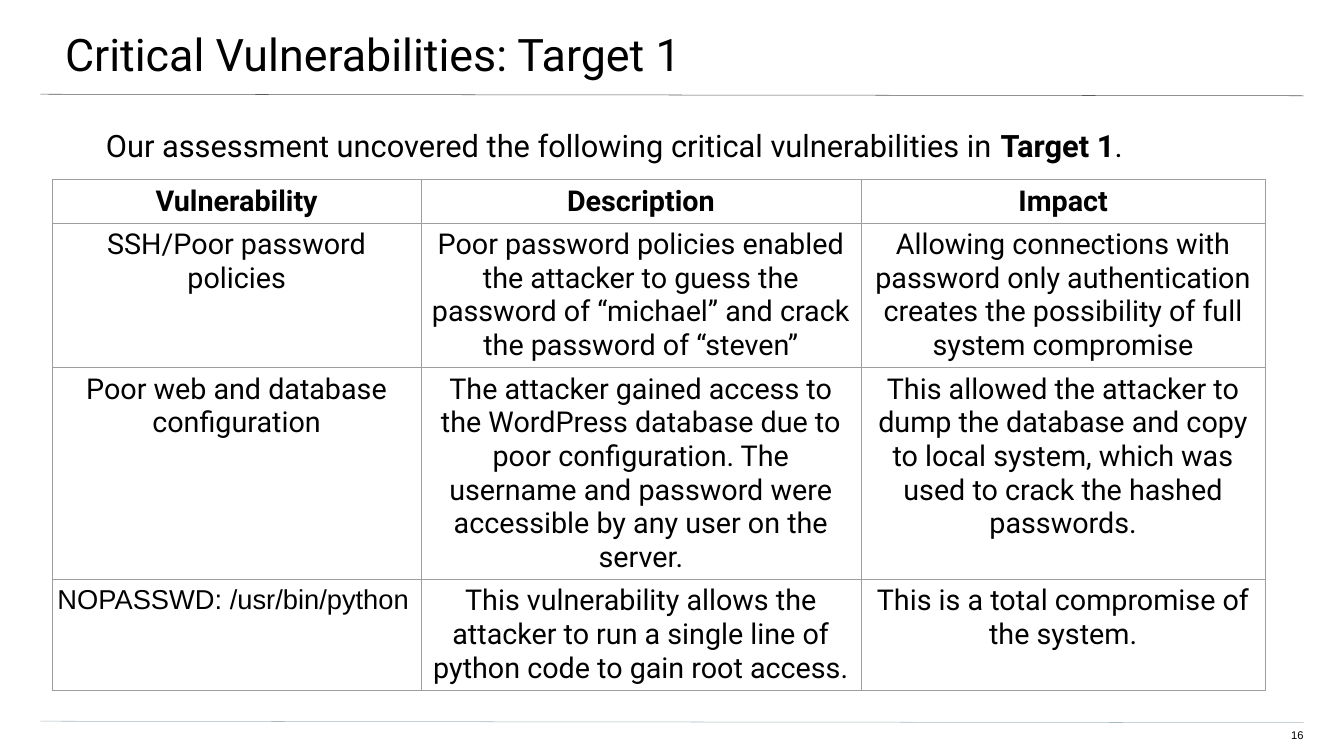
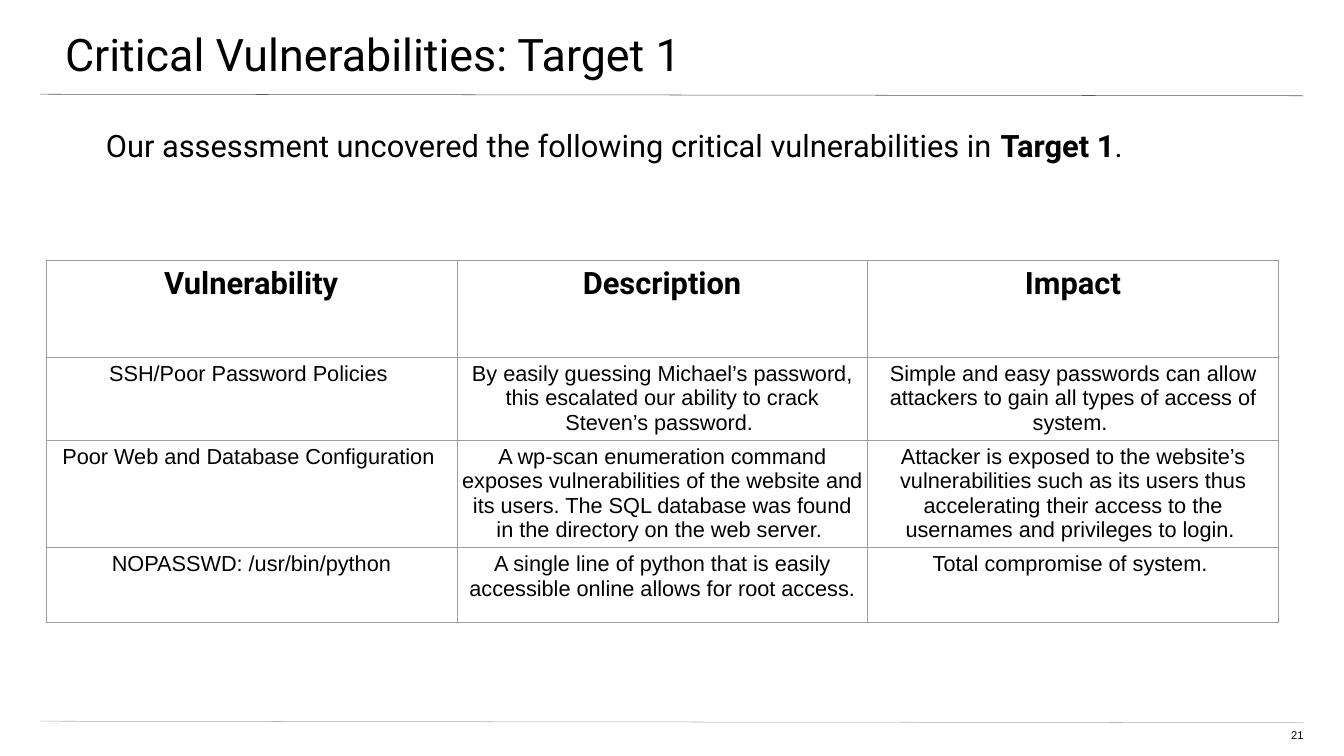
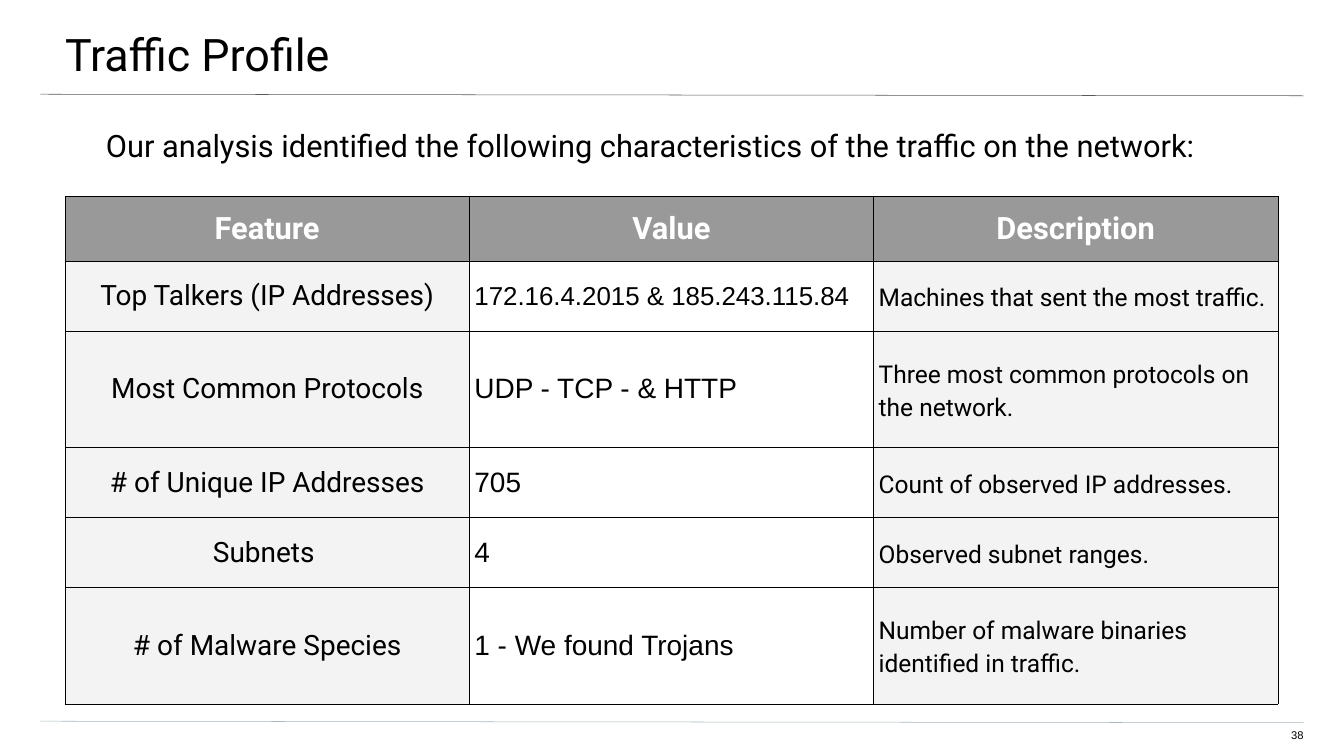
"""Build three security assessment slides with ruled titles and tables."""
from dataclasses import dataclass, replace

from lxml.etree import SubElement
from pptx import Presentation
from pptx.dml.color import RGBColor
from pptx.enum.shapes import MSO_CONNECTOR
from pptx.enum.text import MSO_ANCHOR, MSO_AUTO_SIZE, PP_ALIGN
from pptx.oxml.ns import qn
from pptx.util import Pt

EMU_PER_PX = 9144


@dataclass(frozen=True)
class TextStyle:
    """Look of a piece of text and of the cell behind it."""

    size: int
    face: str = "Roboto"
    color: str = "000000"
    bold: bool = False
    align: PP_ALIGN = PP_ALIGN.LEFT
    line_spacing: float = 1.0
    space_after: int = 0
    fill: str = ""


@dataclass(frozen=True)
class Theme:
    """Colours and type sizes of the deck."""

    title_rule: str = "595959"
    footer_rule: str = "A9B7C0"
    soft_grid: str = "9E9E9E"
    dark_grid: str = "000000"
    rule_width: float = 0.75
    title: TextStyle = TextStyle(64)
    intro: TextStyle = TextStyle(44)
    page_number: TextStyle = TextStyle(16, "Arial", align=PP_ALIGN.RIGHT)
    finding_head: TextStyle = TextStyle(41, bold=True, align=PP_ALIGN.CENTER)
    finding: TextStyle = TextStyle(41, align=PP_ALIGN.CENTER)
    command: TextStyle = TextStyle(39, "Arial")
    summary_head: TextStyle = TextStyle(44, bold=True, align=PP_ALIGN.CENTER)
    summary: TextStyle = TextStyle(31, "Arial", align=PP_ALIGN.CENTER)
    traffic_head: TextStyle = TextStyle(
        44, color="FFFFFF", bold=True, align=PP_ALIGN.CENTER, fill="999999")
    feature: TextStyle = TextStyle(40, align=PP_ALIGN.CENTER, fill="F3F3F3")
    value: TextStyle = TextStyle(40, "Arial")
    remark: TextStyle = TextStyle(
        35, line_spacing=1.15, space_after=10, fill="F3F3F3")


def px(length):
    """Turn px into EMU."""
    return length * EMU_PER_PX


def assign(target, values):
    """Set each named attribute of the target."""
    for attribute, value in values.items():
        setattr(target, attribute, value)


def place(*box):
    """Name the four px lengths of a box in EMU."""
    return dict(zip(("left", "top", "width", "height"), map(px, box)))


def margins(*insets):
    """Name the left, top, right and bottom insets in EMU."""
    sides = ("margin_left", "margin_top", "margin_right", "margin_bottom")
    return dict(zip(sides, map(px, insets)))


class Deck:
    """Hold the theme and the current slide and draw its elements."""

    def __init__(self, theme):
        """Start an empty deck at the full page size."""
        self.theme = theme
        self.presentation = Presentation()
        assign(self.presentation,
               {"slide_width": px(2666), "slide_height": px(1500)})
        self.slide = None

    def page(self, title, number, intro):
        """Add a slide with its rules, title, page number and intro."""
        layout = self.presentation.slide_layouts[5]
        self.slide = self.presentation.slides.add_slide(layout)
        self.rule(187, self.theme.title_rule)
        self.rule(1431, self.theme.footer_rule)
        heading = self.slide.shapes.title
        assign(heading, place(-4, 0, 2673, 156))
        self.fill_frame(heading.text_frame, [(title, False)],
                        self.theme.title, margins(133, 53, 80, 27))
        self.text((2510, 1446, 76, 31), [(number, False)],
                  self.theme.page_number, (0, 0, 0, 27))
        self.text((77, 251, 2509, 1079), intro, self.theme.intro,
                  (133, 0, 133, 267))

    def rule(self, top, color):
        """Draw a thin, barely sloping line across the slide."""
        rule = self.slide.shapes.add_connector(
            MSO_CONNECTOR.STRAIGHT, px(80), px(top), px(2586), px(top + 3))
        rule.line.width = Pt(self.theme.rule_width)
        rule.line.color.rgb = RGBColor.from_string(color)
        SubElement(rule.element.spPr, qn("a:effectLst"))

    def text(self, box, runs, style, insets):
        """Add a text box."""
        holder = self.slide.shapes.add_textbox(*map(px, box))
        self.fill_frame(holder.text_frame, runs, style, margins(*insets))

    def fill_frame(self, frame, runs, style, insets):
        """Set up a text frame and fill its paragraph."""
        assign(frame, {"word_wrap": True, "auto_size": MSO_AUTO_SIZE.NONE,
                       "vertical_anchor": MSO_ANCHOR.TOP, **insets})
        self.fill_paragraph(frame.paragraphs[0], runs, style)

    def fill_paragraph(self, paragraph, runs, style):
        """Add runs, each a text and whether it is bold."""
        assign(paragraph, {"alignment": style.align,
                           "line_spacing": style.line_spacing,
                           "space_before": Pt(0),
                           "space_after": Pt(style.space_after)})
        for words, bold in runs:
            run = paragraph.add_run()
            run.text = words
            assign(run.font, {"name": style.face, "size": Pt(style.size),
                              "bold": bold})
            run.font.color.rgb = RGBColor.from_string(style.color)

    def table(self, corner, widths, heights, rows, head, columns, grid,
              anchor=MSO_ANCHOR.TOP):
        """Add a table whose cells are a text or a text with its own style."""
        table = self.slide.shapes.add_table(
            len(heights), len(widths), *map(px, corner),
            px(sum(widths)), px(sum(heights))).table
        table.horz_banding = False
        for column, width in zip(table.columns, widths):
            column.width = px(width)
        for row, height in zip(table.rows, heights):
            row.height = px(height)
        for r, entries in enumerate(rows):
            for c, entry in enumerate(entries):
                style = columns[c] if r else head
                words, style = (
                    (entry, style) if isinstance(entry, str) else entry)
                self.cell(table.cell(r, c), words, style, grid, anchor)

    def cell(self, cell, words, style, grid, anchor):
        """Format and fill one table cell."""
        assign(cell, {"vertical_anchor": anchor, **margins(10, 10, 10, 10)})
        self.border(cell, grid)
        if style.fill:
            cell.fill.solid()
            cell.fill.fore_color.rgb = RGBColor.from_string(style.fill)
        else:
            cell.fill.background()
        self.fill_paragraph(cell.text_frame.paragraphs[0],
                            [(words, style.bold)], style)

    def border(self, cell, color):
        """Line all four sides of a cell."""
        properties = cell._tc.get_or_add_tcPr()
        for side in ("a:lnL", "a:lnR", "a:lnT", "a:lnB"):
            line = SubElement(properties, qn(side),
                              w=str(Pt(self.theme.rule_width)))
            fill = SubElement(line, qn("a:solidFill"))
            SubElement(fill, qn("a:srgbClr"), val=color)


TARGET_TITLE = "Critical Vulnerabilities: Target 1"
TARGET_INTRO = [
    ("Our assessment uncovered the following critical vulnerabilities in ",
     False),
    ("Target 1", True),
    (".", False),
]
TARGET_HEAD = ("Vulnerability", "Description", "Impact")
SUDO_RULE = "NOPASSWD: /usr/bin/python"


def add_findings(deck):
    """Add the detailed vulnerabilities of the target."""
    theme = deck.theme
    deck.page(TARGET_TITLE, "16", TARGET_INTRO)
    findings = [
        TARGET_HEAD,
        ("SSH/Poor password policies",
         "Poor password policies enabled the attacker to guess the password "
         "of “michael” and crack the password of “steven”",
         "Allowing connections with password only authentication creates the "
         "possibility of full system compromise"),
        ("Poor web and database configuration",
         "The attacker gained access to the WordPress database due to poor "
         "configuration. The username and password were accessible by any "
         "user on the server.",
         "This allowed the attacker to dump the database and copy to local "
         "system, which was used to crack the hashed passwords."),
        ((SUDO_RULE, theme.command),
         "This vulnerability allows the attacker to run a single line of "
         "python code to gain root access.",
         "This is a total compromise of the system."),
    ]
    deck.table((104, 356), (731, 873, 802), (86, 286, 420, 220), findings,
               theme.finding_head, [theme.finding] * 3, theme.soft_grid)


def add_summary(deck):
    """Add the short account of the same vulnerabilities."""
    theme = deck.theme
    deck.page(TARGET_TITLE, "21", TARGET_INTRO)
    summary = [
        TARGET_HEAD,
        ("SSH/Poor Password Policies ",
         "By easily guessing Michael’s password, this escalated our ability "
         "to crack Steven’s password. ",
         "Simple and easy passwords can allow attackers to gain all types of "
         "access of system. "),
        ("Poor Web and Database Configuration ",
         "A wp-scan enumeration command exposes vulnerabilities of the "
         "website and its users. The SQL database was found in the directory "
         "on the web server. ",
         "Attacker is exposed to the website’s vulnerabilities such as its "
         "users thus accelerating their access to the usernames and "
         "privileges to login. "),
        (SUDO_RULE,
         "A single line of python that is easily accessible online allows "
         "for root access.",
         "Total compromise of system. "),
    ]
    deck.table((91, 517), [815] * 3, (191, 165, 212, 148), summary,
               theme.summary_head, [theme.summary] * 3, theme.soft_grid)


def add_traffic(deck):
    """Add the traffic profile of the network."""
    theme = deck.theme
    deck.page("Traffic Profile", "38", [
        ("Our analysis identified the following characteristics of the "
         "traffic on the network:", False)])
    traffic = [
        ("Feature", "Value", "Description"),
        ("Top Talkers (IP Addresses)",
         ("172.16.4.2015 & 185.243.115.84", replace(theme.value, size=37)),
         "Machines that sent the most traffic."),
        ("Most Common Protocols", "UDP - TCP - & HTTP",
         "Three most common protocols on the network."),
        ("# of Unique IP Addresses", "705",
         "Count of observed IP addresses."),
        ("Subnets ", "4", "Observed subnet ranges."),
        ("# of Malware Species", "1 - We found Trojans",
         "Number of malware binaries identified in traffic."),
    ]
    single, double = 139, 231
    deck.table((129, 390), [802] * 3,
               (128, single, double, single, single, double), traffic,
               theme.traffic_head, (theme.feature, theme.value, theme.remark),
               theme.dark_grid, MSO_ANCHOR.MIDDLE)


def main():
    """Build and save the deck."""
    deck = Deck(Theme())
    add_findings(deck)
    add_summary(deck)
    add_traffic(deck)
    deck.presentation.save("out.pptx")


if __name__ == "__main__":
    main()
